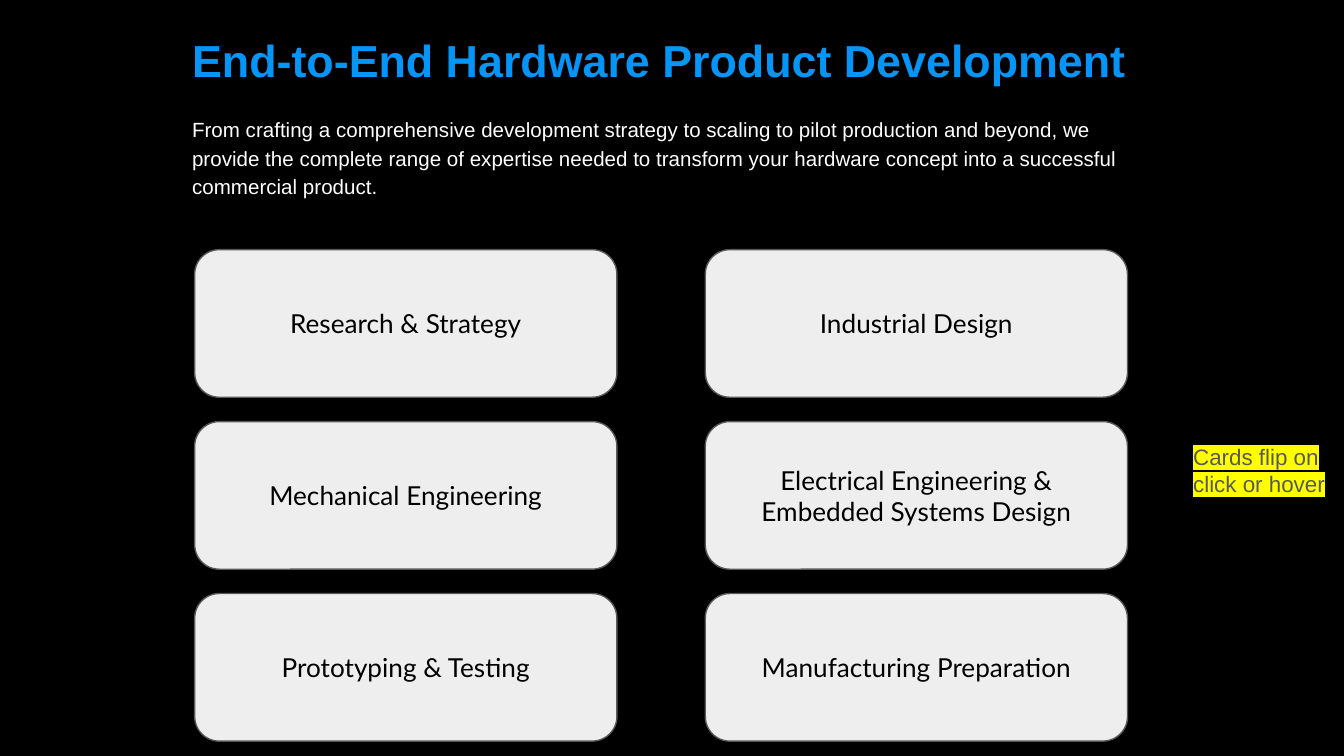
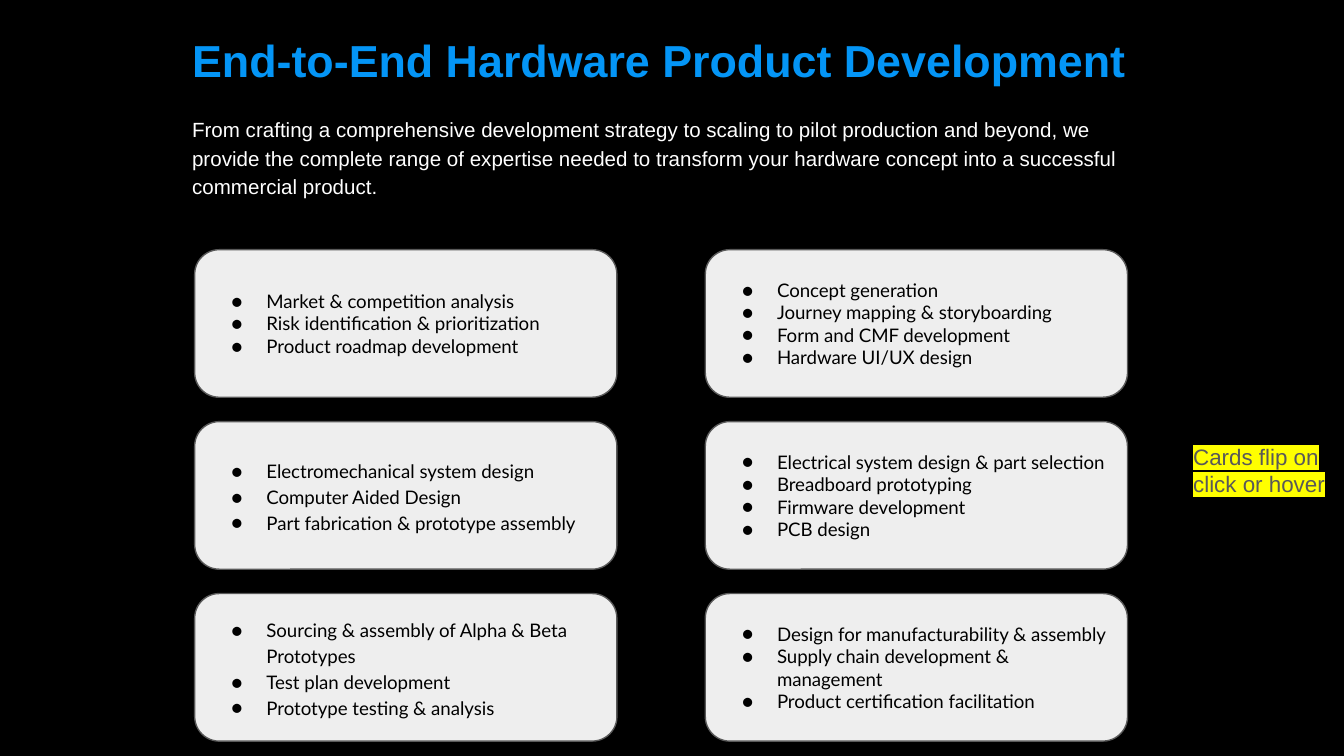
from lxml import etree
from pptx import Presentation
from pptx.dml.color import RGBColor
from pptx.enum.shapes import MSO_SHAPE
from pptx.enum.text import MSO_ANCHOR, MSO_AUTO_SIZE, PP_ALIGN
from pptx.oxml.ns import qn
from pptx.util import Cm, Pt

ROUND_RECT = MSO_SHAPE.ROUNDED_RECTANGLE
TOP, MIDDLE = MSO_ANCHOR.TOP, MSO_ANCHOR.MIDDLE
LEFT, CENTER = PP_ALIGN.LEFT, PP_ALIGN.CENTER
NO_FIT = MSO_AUTO_SIZE.NONE

# Shared colours and text styles
BLACK, BLUE, WHITE = "000000", "0495F6", "FFFFFF"
CARD, GREY, YELLOW = "EEEEEE", "595959", "FFFF00"

TITLE_STYLE = dict(name="Arial", size=Pt(24), bold=True, color=BLUE)
INTRO_STYLE = dict(name="Arial", size=Pt(11), color=WHITE)
NOTE_STYLE = dict(name="Arial", size=Pt(12), color=GREY)
CARD_STYLE = dict(name="Lato", size=Pt(14), color=BLACK)
LIST_STYLE = dict(name="Lato", size=Pt(10), color=BLACK)

# Boxes: left, top, width, height in cm
TITLE_BOX = (3.38, 0.36, 18.62, 1.9)
INTRO_BOX = (3.38, 1.9, 18.62, 2.06)
NOTE_BOX = (22.3, 8.13, 3.1, 1.63)
GRID_BOX = (3.68, 4.72, 17.63, 9.29)
CARD_W, CARD_H = 7.98, 2.79
COLS, ROWS = 2, 3
INSET = 0.25

TITLE = "End-to-End Hardware Product Development"
INTRO = ("From crafting a comprehensive development strategy to scaling to pilot "
         "production and beyond, we provide the complete range of expertise needed "
         "to transform your hardware concept into a successful commercial product.")
NOTE = "Cards flip on click or hover"

# Cards row by row
FRONTS = [
    "Research & Strategy", "Industrial Design",
    "Mechanical Engineering", "Electrical Engineering & Embedded Systems Design",
    "Prototyping & Testing", "Manufacturing Preparation",
]
# Line spacing and list of each card
BACKS = [
    (1.0, ["Market & competition analysis",
           "Risk identification & prioritization",
           "Product roadmap development"]),
    (1.0, ["Concept generation",
           "Journey mapping & storyboarding",
           "Form and CMF development",
           "Hardware UI/UX design"]),
    (1.15, ["Electromechanical system design",
            "Computer Aided Design",
            "Part fabrication & prototype assembly"]),
    (1.0, ["Electrical system design & part selection",
           "Breadboard prototyping",
           "Firmware development",
           "PCB design"]),
    (1.15, ["Sourcing & assembly of Alpha & Beta Prototypes",
            "Test plan development",
            "Prototype testing & analysis"]),
    (1.0, ["Design for manufacturability & assembly",
           "Supply chain development & management",
           "Product certification facilitation"]),
]


def rgb(value):
    return RGBColor.from_string(value)


def place(sp, box):
    for name, value in zip(("left", "top", "width", "height"), box):
        setattr(sp, name, Cm(value))


def set_bullet(p, color=None):
    """Give a paragraph a hanging round bullet, or none without a colour."""
    pPr = p._p.get_or_add_pPr()
    margin, indent = (Cm(0.97), Cm(-0.66)) if color else (0, 0)
    pPr.set("marL", str(margin))
    pPr.set("indent", str(indent))
    if not color:
        etree.SubElement(pPr, qn("a:buNone"))
        return
    clr = etree.SubElement(pPr, qn("a:buClr"))
    etree.SubElement(clr, qn("a:srgbClr"), val=color)
    etree.SubElement(pPr, qn("a:buFont"), typeface="Lato")
    etree.SubElement(pPr, qn("a:buChar"), char="●")


def set_highlight(r, color):
    mark = etree.Element(qn("a:highlight"))
    etree.SubElement(mark, qn("a:srgbClr"), val=color)
    r._r.rPr.find(qn("a:solidFill")).addnext(mark)


def write(sp, lines, style, align=LEFT, anchor=TOP, spacing=1.0,
          bullet=None, highlight=None):
    tf = sp.text_frame
    frame = dict(word_wrap=True, auto_size=NO_FIT, vertical_anchor=anchor)
    frame.update({f"margin_{side}": Cm(INSET)
                  for side in ("left", "top", "right", "bottom")})
    for name, value in frame.items():
        setattr(tf, name, value)
    for i, line in enumerate(lines):
        p = tf.add_paragraph() if i else tf.paragraphs[0]
        set_bullet(p, bullet)
        p.alignment, p.line_spacing, p.space_before = align, spacing, Pt(0)
        r = p.add_run()
        r.text = line
        for name, value in style.items():
            if name == "color":
                r.font.color.rgb = rgb(value)
            else:
                setattr(r.font, name, value)
        if highlight:
            set_highlight(r, highlight)


def add_header(s):
    title, intro = s.shapes.title, s.placeholders[1]
    place(title, TITLE_BOX)
    write(title, [TITLE], TITLE_STYLE)
    place(intro, INTRO_BOX)
    write(intro, [INTRO], INTRO_STYLE, spacing=1.15)


def add_note(s, box):
    sp = s.shapes.add_textbox(*map(Cm, box))
    write(sp, [NOTE], NOTE_STYLE, highlight=YELLOW)


def add_card(s, box):
    sp = s.shapes.add_shape(ROUND_RECT, *map(Cm, box))
    sp.shadow.inherit = False
    sp.fill.solid()
    sp.fill.fore_color.rgb = rgb(CARD)
    sp.line.color.rgb = rgb(GREY)
    sp.line.width = Pt(0.75)
    return sp


def add_grid(s, box):
    """Spread the cards evenly over the box and return them row by row."""
    left, top, width, height = box
    step_x = (width - CARD_W) / (COLS - 1)
    step_y = (height - CARD_H) / (ROWS - 1)
    return [add_card(s, (left + col * step_x, top + row * step_y, CARD_W, CARD_H))
            for row in range(ROWS) for col in range(COLS)]


def add_card_slide(prs):
    s = prs.slides.add_slide(prs.slide_layouts[1])
    add_header(s)
    add_note(s, NOTE_BOX)
    return add_grid(s, GRID_BOX)


def add_fronts(prs):
    for sp, name in zip(add_card_slide(prs), FRONTS):
        write(sp, [name], CARD_STYLE, align=CENTER, anchor=MIDDLE)


def add_backs(prs):
    for sp, (spacing, items) in zip(add_card_slide(prs), BACKS):
        write(sp, items, LIST_STYLE, anchor=MIDDLE, spacing=spacing, bullet=BLACK)


def main():
    prs = Presentation()
    prs.slide_width, prs.slide_height = Cm(25.4), Cm(14.29)
    fill = prs.slide_master.background.fill
    fill.solid()
    fill.fore_color.rgb = rgb(BLACK)
    add_fronts(prs)
    add_backs(prs)
    prs.save("out.pptx")


if __name__ == "__main__":
    main()
